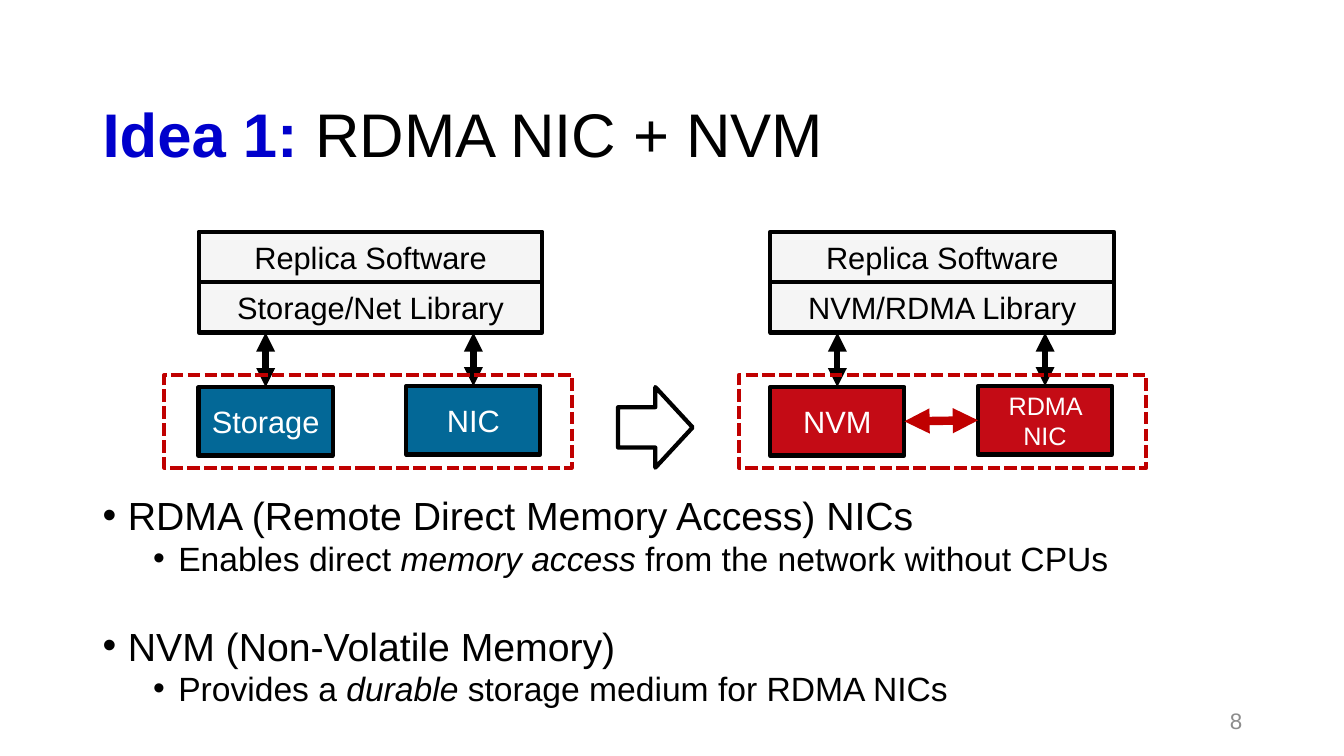
from lxml import etree
from pptx import Presentation
from pptx.dml.color import RGBColor
from pptx.enum.dml import MSO_LINE
from pptx.enum.shapes import MSO_CONNECTOR, MSO_SHAPE
from pptx.enum.text import MSO_ANCHOR, PP_ALIGN
from pptx.oxml.ns import qn
from pptx.util import Inches, Pt

RECTANGLE = MSO_SHAPE.RECTANGLE
RIGHT_ARROW = MSO_SHAPE.RIGHT_ARROW
STRAIGHT = MSO_CONNECTOR.STRAIGHT
SYS_DASH = MSO_LINE.SQUARE_DOT
TOP, MIDDLE = MSO_ANCHOR.TOP, MSO_ANCHOR.MIDDLE
LEFT, CENTER, RIGHT = PP_ALIGN.LEFT, PP_ALIGN.CENTER, PP_ALIGN.RIGHT
SIDE_TOP, SIDE_LEFT, SIDE_RIGHT = 0, 1, 3

FONT = "Arial"
COLORS = {
    "black": "000000",
    "white": "FFFFFF",
    "title": "0000CC",
    "number": "8C8C8C",
    "software": "F5F5F5",
    "blue": "036897",
    "red": "C40B15",
    "accent": "C00000",
}


def color(name):
    return RGBColor.from_string(COLORS[name])


def add_run(paragraph, text, size=22, color_name="black", bold=False, italic=False):
    run = paragraph.add_run()
    run.text = text
    run.font.name = FONT
    run.font.size = Pt(size)
    run.font.bold = bold
    run.font.italic = italic
    run.font.color.rgb = color(color_name)


def add_text_frame(slide, box, anchor):
    shape = slide.shapes.add_textbox(*map(Inches, box))
    shape.text_frame.word_wrap = True
    shape.text_frame.vertical_anchor = anchor
    return shape.text_frame


def add_block(slide, box, text="", fill=None, line="black", text_color="black",
              size=22, dash=None, preset=RECTANGLE):
    shape = slide.shapes.add_shape(preset, *map(Inches, box))
    shape.shadow.inherit = False
    if fill:
        shape.fill.solid()
        shape.fill.fore_color.rgb = color(fill)
    else:
        shape.fill.background()
    shape.line.color.rgb = color(line)
    shape.line.width = Pt(3)
    if dash:
        shape.line.dash_style = dash
    if text:
        frame = shape.text_frame
        frame.word_wrap = True
        frame.vertical_anchor = MIDDLE
        frame.paragraphs[0].alignment = CENTER
        add_run(frame.paragraphs[0], text, size=size, color_name=text_color)
    return shape


def add_double_arrow(slide, start, end, width, color_name="black"):
    connector = slide.shapes.add_connector(STRAIGHT, *map(Inches, start + end))
    connector.line.color.rgb = color(color_name)
    connector.line.width = Pt(width)
    line = connector.line._get_or_add_ln()
    for tag in ("a:headEnd", "a:tailEnd"):
        etree.SubElement(line, qn(tag), type="triangle")
    etree.SubElement(connector._element.spPr, qn("a:effectLst"))
    return connector


def add_bullet(paragraph, level, space_before):
    paragraph.level = level
    paragraph.line_spacing = 0.8
    paragraph.space_before = Pt(space_before)
    properties = paragraph._p.get_or_add_pPr()
    properties.set("marL", str(Inches(0.25 + 0.5 * level)))
    properties.set("indent", str(Inches(-0.25)))
    etree.SubElement(properties, qn("a:buFont"), typeface=FONT)
    etree.SubElement(properties, qn("a:buChar"), char="•")


def add_title(slide, box):
    paragraph = add_text_frame(slide, box, MIDDLE).paragraphs[0]
    paragraph.alignment = LEFT
    paragraph.line_spacing = 0.9
    add_run(paragraph, "Idea 1: ", size=44, color_name="title", bold=True)
    add_run(paragraph, "RDMA NIC + NVM", size=44)


def add_replica(slide, box, library, devices, fill, frame_left, linked=False):
    left, top, width, height = box
    row_height, device_width, device_height = 0.5, 1.33, 0.68
    library_bottom = top + 2 * row_height
    for row, text in enumerate(("Replica Software", library)):
        add_block(slide, (left, top + row * row_height, width, row_height),
                  text, fill="software")

    device_offsets = ((0, 1.54), (2.06, 1.53))
    blocks = []
    for text, (across, down) in zip(devices, device_offsets):
        device_left, device_top = left + across, top + down
        block = add_block(slide, (device_left, device_top, device_width, device_height),
                          text, fill=fill, text_color="white",
                          size=18 if " " in text else 22)
        middle = device_left + device_width / 2
        arrow = add_double_arrow(slide, (middle, device_top), (middle, library_bottom), 4.5)
        arrow.begin_connect(block, SIDE_TOP)
        blocks.append(block)

    if linked:
        link_y = top + device_offsets[0][1] + device_height / 2
        link = add_double_arrow(slide, (left + device_width, link_y),
                                (left + device_offsets[1][0], link_y), 6, "accent")
        link.begin_connect(blocks[0], SIDE_RIGHT)
        link.end_connect(blocks[1], SIDE_LEFT)

    frame_top = top + 1.42
    add_block(slide, (frame_left, frame_top, 4.04, top + height - frame_top),
              line="accent", dash=SYS_DASH)


def add_bullets(slide, box):
    bullets = (
        (0, 10, (("RDMA (Remote Direct Memory Access) NICs", False),)),
        (1, 5, (("Enables direct ", False), ("memory access ", True),
                ("from the network without CPUs", False))),
        (0, 38, (("NVM (Non-Volatile Memory)", False),)),
        (1, 5, (("Provides a ", False), ("durable", True),
                (" storage medium for RDMA NICs", False))),
    )
    frame = add_text_frame(slide, box, TOP)
    for index, (level, space_before, runs) in enumerate(bullets):
        paragraph = frame.add_paragraph() if index else frame.paragraphs[0]
        add_bullet(paragraph, level, space_before)
        for text, italic in runs:
            add_run(paragraph, text, size=28 - 4 * level, italic=italic)


def add_slide_number(slide, box):
    paragraph = add_text_frame(slide, box, MIDDLE).paragraphs[0]
    paragraph.alignment = RIGHT
    add_run(paragraph, "8", size=16, color_name="number")


def main():
    presentation = Presentation()
    presentation.slide_width = Inches(13.33)
    presentation.slide_height = Inches(7.5)
    slide = presentation.slides.add_slide(presentation.slide_layouts[6])
    add_title(slide, (0.92, 0.64, 11.5, 1.45))
    add_bullets(slide, (0.92, 4.92, 11.5, 2.36))
    add_slide_number(slide, (9.42, 6.95, 3, 0.4))
    add_replica(slide, (1.97, 2.3, 3.41, 2.34), "Storage/Net Library",
                ("Storage", "NIC"), "blue", frame_left=1.63)
    add_replica(slide, (7.64, 2.3, 3.41, 2.34), "NVM/RDMA Library",
                ("NVM", "RDMA NIC"), "red", frame_left=7.33, linked=True)
    add_block(slide, (6.13, 3.84, 0.74, 0.8), preset=RIGHT_ARROW)
    presentation.save("out.pptx")


if __name__ == "__main__":
    main()
